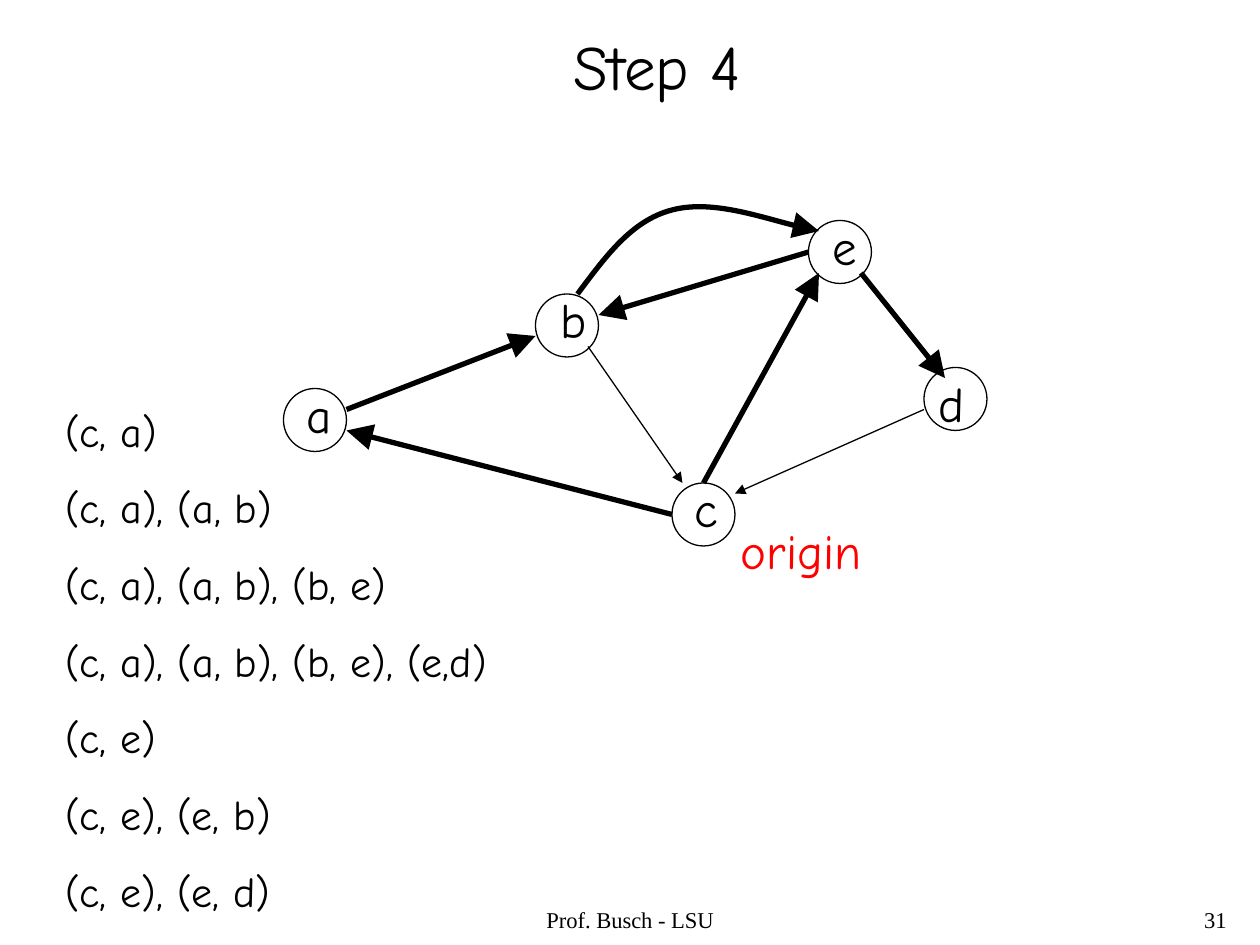
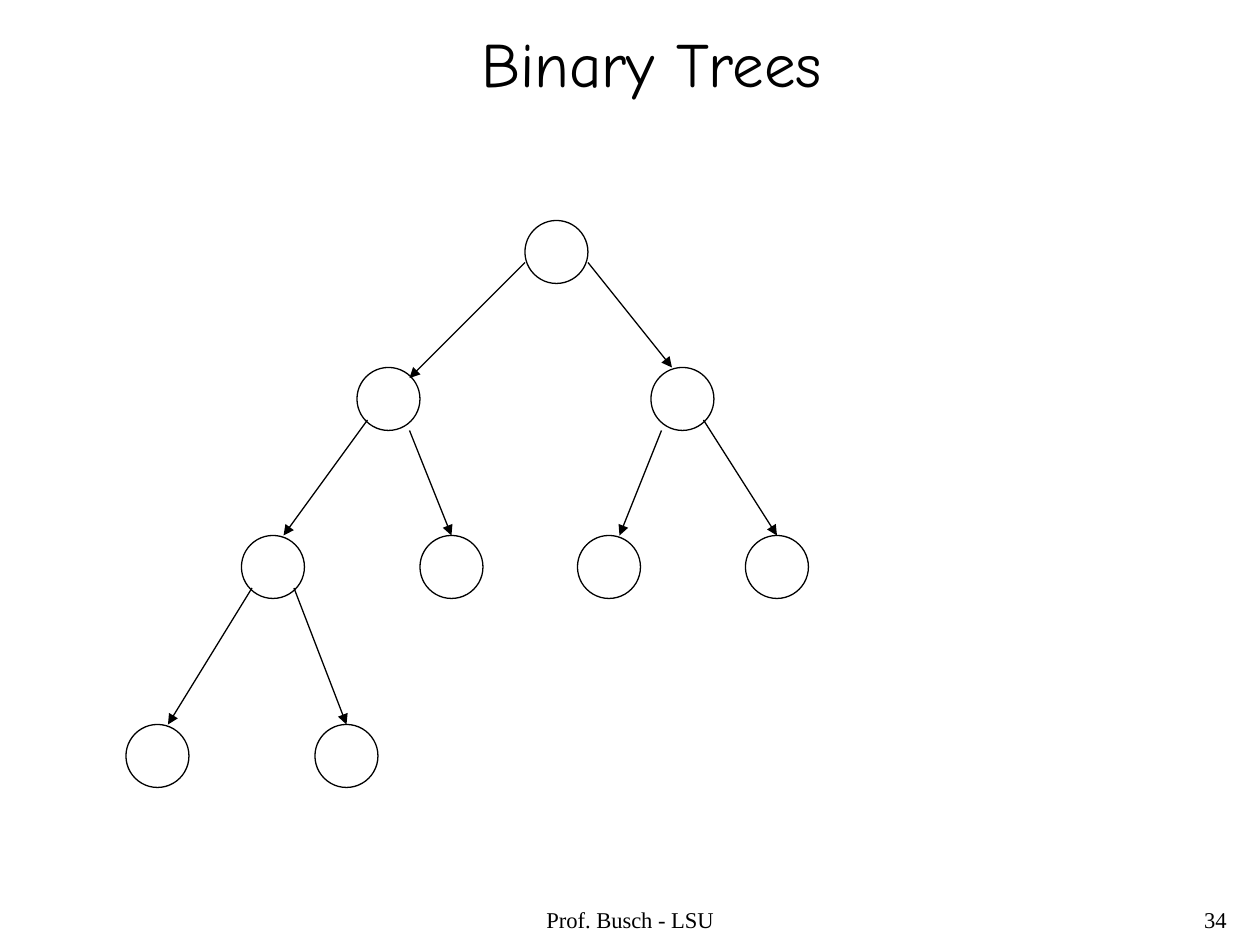
from lxml.etree import SubElement
from pptx import Presentation
from pptx.dml.color import RGBColor
from pptx.enum.shapes import MSO_CONNECTOR, MSO_SHAPE
from pptx.enum.text import MSO_ANCHOR, MSO_AUTO_SIZE, PP_ALIGN
from pptx.oxml.ns import qn
from pptx.util import Pt

PX = 9525
BLACK = RGBColor(0, 0, 0)
RED = RGBColor(255, 0, 0)
HAND_FONT = "Comic Neue"
FOOTER_FONT = "Times New Roman"
NODE_SIZE = 48
THIN, THICK = 0.75, 3
HEAD_SIZES = {THIN: "med", THICK: "lg"}
TITLE_ONLY, TITLE_AND_BODY = 5, 1

GRAPH_NODES = {"a": (216, 296), "b": (408, 224), "c": (512, 368), "d": (704, 280), "e": (616, 168)}
LABEL_OFFSETS = {"a": (8, -8), "b": (10, -8), "c": (8, -8), "d": (2, 0), "e": (9, -8)}
GRAPH_EDGES = [
    ((264, 312), (408, 256), THICK),
    ((448, 264), (520, 368), THIN),
    ((536, 368), (624, 208), THICK),
    ((704, 312), (560, 376), THIN),
    ((512, 392), (264, 328), THICK),
    ((656, 208), (720, 288), THICK),
    ((616, 192), (456, 240), THICK),
]
B_TO_E_CURVE = [(440, 224), (461, 196), (481, 168), (512, 160), (542, 152), (601, 172), (624, 176)]
EXPLORED_PATHS = [
    "(c, a)",
    "(c, a), (a, b)",
    "(c, a), (a, b), (b, e)",
    "(c, a), (a, b), (b, e), (e,d)",
    "(c, e)",
    "(c, e), (e, b)",
    "(c, e), (e, d)",
]
TREE_LEVELS = {168: [400], 280: [272, 496], 408: [184, 320, 440, 568], 552: [96, 240]}
TREE_EDGES = [
    ((400, 200), (312, 288)),
    ((448, 200), (512, 280)),
    ((280, 320), (216, 408)),
    ((312, 328), (344, 408)),
    ((504, 328), (472, 408)),
    ((536, 320), (592, 408)),
    ((192, 448), (128, 552)),
    ((224, 448), (264, 552)),
]


def to_emu(*lengths):
    """Turn px lengths into EMU."""
    return [length * PX for length in lengths]


def place(shape, box):
    """Move a shape to a px box of left, top, width and height."""
    shape.left, shape.top, shape.width, shape.height = to_emu(*box)


def fill_text(shape, lines, size, color=BLACK, font=HAND_FONT, align=PP_ALIGN.LEFT, gap=0, spacing=1.0):
    """Write lines into a shape as evenly spaced paragraphs."""
    frame = shape.text_frame
    frame.text = "\n".join(lines)
    frame.word_wrap = True
    frame.auto_size = MSO_AUTO_SIZE.NONE
    frame.vertical_anchor = MSO_ANCHOR.TOP
    for index, paragraph in enumerate(frame.paragraphs):
        paragraph.alignment = align
        paragraph.line_spacing = spacing
        paragraph.space_before = Pt(gap if index else 0)
        for run in paragraph.runs:
            run.font.size = Pt(size)
            run.font.name = font
            run.font.color.rgb = color


def add_text(slide, box, text, size, **style):
    """Add a text box holding one line."""
    fill_text(slide.shapes.add_textbox(*to_emu(*box)), [text], size, **style)


def add_titled_slide(presentation, layout, title, title_box, number):
    """Add a slide with its title, footer and page number."""
    slide = presentation.slides.add_slide(presentation.slide_layouts[layout])
    place(slide.shapes.title, title_box)
    fill_text(slide.shapes.title, [title], 36)
    footers = [
        ((328, 688, 304, 32), "Prof. Busch - LSU", PP_ALIGN.CENTER),
        ((744, 688, 200, 32), str(number), PP_ALIGN.RIGHT),
    ]
    for box, text, align in footers:
        add_text(slide, box, text, 12.9, font=FOOTER_FONT, align=align, spacing=0.9)
    return slide


def add_list(slide, box, lines):
    """Fill the body placeholder with lines that have no bullets."""
    body = slide.placeholders[1]
    place(body, box)
    fill_text(body, lines, 24, gap=15)
    for paragraph in body.text_frame.paragraphs:
        properties = paragraph._p.get_or_add_pPr()
        properties.set("marL", "0")
        properties.set("indent", "0")
        SubElement(properties, qn("a:buNone"))


def style_line(shape, width):
    """Draw the line of a shape in black."""
    shape.line.color.rgb = BLACK
    shape.line.width = Pt(width)


def add_arrowhead(shape, width):
    """End the line of a shape in a triangle that suits its width."""
    size = HEAD_SIZES[width]
    line = shape.element.spPr.find(qn("a:ln"))
    SubElement(line, qn("a:tailEnd"), type="triangle", w=size, len=size)


def add_node(slide, left, top):
    """Add an unfilled circle."""
    node = slide.shapes.add_shape(MSO_SHAPE.OVAL, *to_emu(left, top, NODE_SIZE, NODE_SIZE))
    node.shadow.inherit = False
    node.fill.background()
    style_line(node, THIN)


def add_arrow(slide, start, end, width=THIN):
    """Add a straight arrow between two points."""
    arrow = slide.shapes.add_connector(MSO_CONNECTOR.STRAIGHT, *to_emu(*start, *end))
    style_line(arrow, width)
    add_arrowhead(arrow, width)
    SubElement(arrow.element.spPr, qn("a:effectLst"))


def add_curved_arrow(slide, points, width):
    """Add an arrow along cubic curves, given a start and triples of points."""
    builder = slide.shapes.build_freeform(*points[0], scale=PX)
    builder.add_line_segments(points[1:], close=False)
    curve = builder.convert_to_shape()
    outline = curve.element.spPr.find(".//" + qn("a:path"))
    segments = outline.findall(qn("a:lnTo"))
    for first in range(0, len(segments), 3):
        bezier = SubElement(outline, qn("a:cubicBezTo"))
        for segment in segments[first:first + 3]:
            bezier.append(segment[0])
            outline.remove(segment)
    curve.shadow.inherit = False
    curve.fill.background()
    style_line(curve, width)
    add_arrowhead(curve, width)


def build_graph_slide(presentation):
    """Build the slide of the path search in a graph."""
    slide = add_titled_slide(presentation, TITLE_AND_BODY, "Step 4", (427, 16, 160, 67), 31)
    add_list(slide, (40, 304, 360, 398), EXPLORED_PATHS)
    for name, (left, top) in GRAPH_NODES.items():
        add_node(slide, left, top)
        shift_x, shift_y = LABEL_OFFSETS[name]
        add_text(slide, (left + shift_x, top + shift_y, 44, 55), name, 28)
    for start, end, width in GRAPH_EDGES:
        add_arrow(slide, start, end, width)
    add_curved_arrow(slide, B_TO_E_CURVE, THICK)
    add_text(slide, (555, 392, 120, 55), "origin", 28, color=RED)


def build_tree_slide(presentation):
    """Build the slide of the binary tree."""
    slide = add_titled_slide(presentation, TITLE_ONLY, "Binary Trees", (357, 14, 292, 67), 34)
    for top, lefts in TREE_LEVELS.items():
        for left in lefts:
            add_node(slide, left, top)
    for start, end in TREE_EDGES:
        add_arrow(slide, start, end)


def main():
    """Build and save the presentation."""
    presentation = Presentation()
    presentation.slide_width, presentation.slide_height = to_emu(960, 720)
    build_graph_slide(presentation)
    build_tree_slide(presentation)
    presentation.save("out.pptx")


if __name__ == "__main__":
    main()
